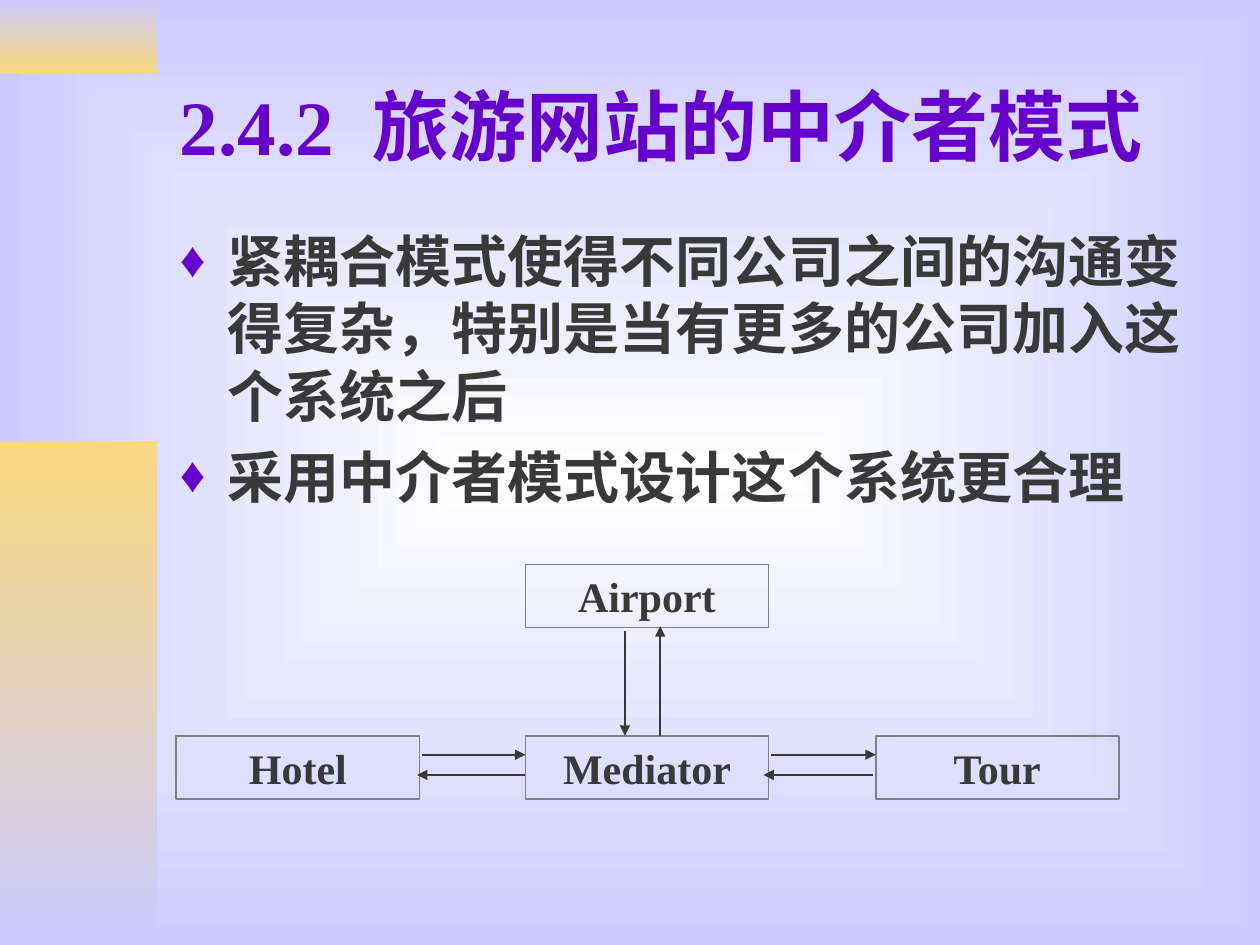
"""Build the slide on the mediator pattern of a travel site."""
from lxml.etree import SubElement
from pptx import Presentation
from pptx.dml.color import RGBColor
from pptx.enum.shapes import MSO_CONNECTOR as Connector, MSO_SHAPE as Shape
from pptx.enum.text import MSO_ANCHOR as Anchor, MSO_AUTO_SIZE as AutoSize, PP_ALIGN as Align
from pptx.oxml.ns import qn
from pptx.util import Inches, Pt

COLORS = {"white": "FFFFFF", "lavender": "CCCCFF", "gold": "F9D87E",
          "purple": "6600CC", "text": "393939", "border": "808080"}
FONT = "Times New Roman"

TITLE = ("2.4.2", " ", "旅游网站的中介者模式")
BULLETS = [
    "紧耦合模式使得不同公司之间的沟通变得复杂，特别是当有更多的公司加入这个系统之后",
    "采用中介者模式设计这个系统更合理",
]
BANDS = [(0, 0.58, "lavender", "gold"), (3.5, 4, "gold", "lavender")]
NODE_SIZE = (1.93, 0.5)
COLUMNS = (1.4, 4.17, 6.95)
ROWS = (4.48, 5.84)
NODES = [("Airport", 1, 0), ("Mediator", 1, 1), ("Hotel", 0, 1), ("Tour", 2, 1)]
ARROWS = [
    (4.96, 5.01, 4.96, 5.84),
    (5.24, 5.84, 5.24, 4.97),
    (3.35, 5.99, 4.17, 5.99),
    (4.17, 6.15, 3.31, 6.15),
    (6.12, 5.99, 6.95, 5.99),
    (6.93, 6.15, 6.06, 6.15),
]


def rgb(name):
    return RGBColor.from_string(COLORS[name])


def fill_gradient(fill, start, end):
    fill.gradient()
    fill.gradient_angle = 270
    for stop, name in zip(fill.gradient_stops, (start, end)):
        stop.color.rgb = rgb(name)


def paint_background(slide):
    fill_gradient(slide.background.fill, "white", "lavender")
    gradient = slide._element.xpath(".//p:bg//a:gradFill")[0]
    gradient.remove(gradient.find(qn("a:lin")))
    shade = SubElement(gradient, qn("a:path"), path="rect")
    SubElement(shade, qn("a:fillToRect"), l="50000", t="50000", r="50000", b="50000")


def add_span(para, text, size, color):
    span = para.add_run()
    span.text = text
    font = span.font
    font.name, font.size, font.bold = FONT, Pt(size), True
    font.color.rgb = rgb(color)
    span._r.get_or_add_rPr().set("lang", "zh-CN")
    return span


def add_text_frame(slide, left, top, width, height):
    box = slide.shapes.add_textbox(*map(Inches, (left, top, width, height)))
    box.text_frame.word_wrap = True
    return box.text_frame


def add_bullet(para):
    props = para._p.get_or_add_pPr()
    props.set("marL", str(Inches(0.38)))
    props.set("indent", str(-Inches(0.38)))
    color = SubElement(props, qn("a:buClr"))
    SubElement(color, qn("a:srgbClr"), val=COLORS["purple"])
    SubElement(props, qn("a:buSzPct"), val="90000")
    SubElement(props, qn("a:buFont"), typeface=FONT)
    SubElement(props, qn("a:buChar"), char="♦")


def add_band(slide, top, height, start, end):
    band = slide.shapes.add_shape(Shape.RECTANGLE, 0, Inches(top), Inches(1.25), Inches(height))
    band.shadow.inherit = False
    band.line.fill.background()
    fill_gradient(band.fill, start, end)


def add_node(diagram, label, column, row):
    place = (COLUMNS[column], ROWS[row], *NODE_SIZE)
    node = diagram.shapes.add_shape(Shape.RECTANGLE, *map(Inches, place))
    node.shadow.inherit = False
    node.fill.background()
    node.line.color.rgb = rgb("border")
    node.line.width = Pt(1)
    frame = node.text_frame
    frame.word_wrap = True
    frame.auto_size = AutoSize.SHAPE_TO_FIT_TEXT
    frame.vertical_anchor = Anchor.TOP
    para = frame.paragraphs[0]
    para.alignment = Align.CENTER
    add_span(para, label, 24, "text")


def add_arrow(diagram, points):
    arrow = diagram.shapes.add_connector(Connector.STRAIGHT, *map(Inches, points))
    arrow.line.color.rgb = rgb("text")
    arrow.line.width = Pt(1)
    SubElement(arrow.line._get_or_add_ln(), qn("a:tailEnd"), type="triangle")
    SubElement(arrow._element.spPr, qn("a:effectLst"))


def main():
    deck = Presentation()
    deck.slide_width, deck.slide_height = Inches(10), Inches(7.5)
    slide = deck.slides.add_slide(deck.slide_layouts[6])
    paint_background(slide)
    for band in BANDS:
        add_band(slide, *band)

    title = add_text_frame(slide, 1.33, 0.33, 8.5, 1.32)
    title.vertical_anchor = Anchor.MIDDLE
    spans = [add_span(title.paragraphs[0], text, 44, "purple") for text in TITLE]
    spans[1]._r.get_or_add_rPr().set("spc", "1100")

    body = add_text_frame(slide, 1.33, 1.75, 8.5, 2.55)
    for index, text in enumerate(BULLETS):
        para = body.add_paragraph() if index else body.paragraphs[0]
        if index:
            para.space_before = Pt(8)
        add_bullet(para)
        add_span(para, text, 32, "text")

    diagram = slide.shapes.add_group_shape()
    for node in NODES:
        add_node(diagram, *node)
    for points in ARROWS:
        add_arrow(diagram, points)
    deck.save("out.pptx")


if __name__ == "__main__":
    main()
